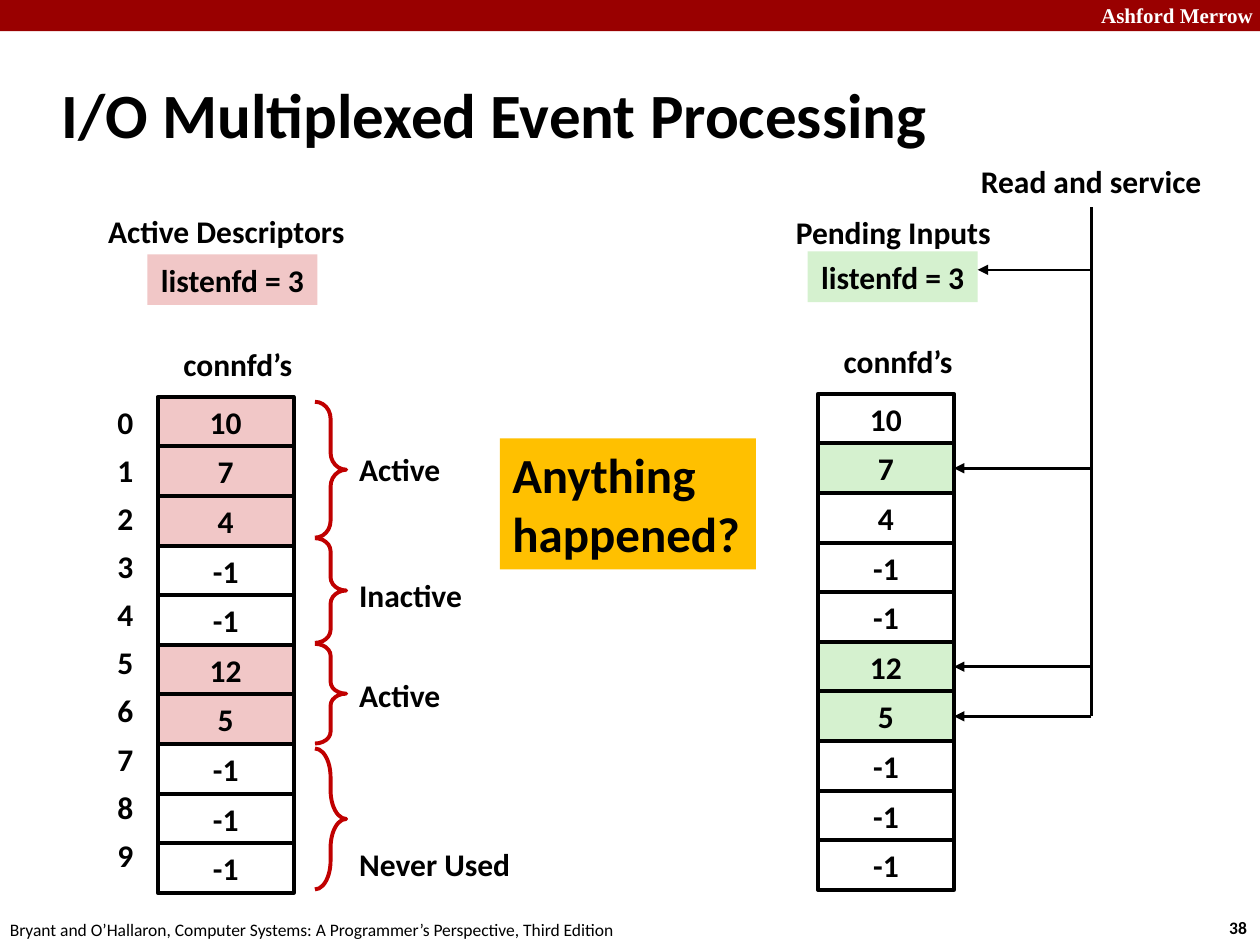
from lxml.etree import SubElement
from pptx import Presentation
from pptx.dml.color import RGBColor
from pptx.enum.shapes import MSO_CONNECTOR as Line, MSO_SHAPE as Shape
from pptx.enum.text import MSO_ANCHOR as Anchor, MSO_AUTO_SIZE as AutoSize, PP_ALIGN as Align
from pptx.oxml.ns import qn
from pptx.util import Cm, Pt

BLACK = RGBColor(0x00, 0x00, 0x00)
WHITE = RGBColor(0xFF, 0xFF, 0xFF)
BANNER_RED = RGBColor(0x99, 0x00, 0x00)
BRACE_RED = RGBColor(0xC0, 0x00, 0x00)
ACTIVE_PINK = RGBColor(0xF1, 0xC7, 0xC7)
PENDING_GREEN = RGBColor(0xD5, 0xF1, 0xCF)
QUESTION_GOLD = RGBColor(0xFF, 0xC0, 0x00)

SCHOOL = "Ashford Merrow"
SOURCE = "Bryant and O’Hallaron, Computer Systems: A Programmer’s Perspective, Third Edition"
PAGE = "38"
TITLE = "I/O Multiplexed Event Processing"
LISTEN = "listenfd = 3"
CONNECTED = "connfd’s"
QUESTION = ["Anything", "happened?"]
DESCRIPTORS = ["10", "7", "4", "-1", "-1", "12", "5", "-1", "-1", "-1"]
ACTIVE_ROWS = [0, 1, 2, 5, 6]
PENDING_ROWS = [1, 5, 6]
# label, label top, label width, brace top, brace height, brace curl
RANGES = [
    ("Active", 8.94, 2.16, 8.1, 2.74, 0.54),
    ("Inactive", 11.48, 2.62, 10.85, 2.11, 0.42),
    ("Active", 13.51, 2.16, 12.98, 2.01, 0.38),
    ("Never Used", 16.92, 3.61, 15.09, 2.84, 0.92),
]

ROW = 1.0
INDEX_STEP = 0.97
TRUNK_X, TRUNK_TOP, LISTEN_ARROW_Y = 22.0, 4.17, 5.44
PENDING_SHIFT = (13.31, -0.06)

deck = Presentation()
deck.slide_width, deck.slide_height = Cm(25.4), Cm(19.05)
slide = deck.slides.add_slide(deck.slide_layouts[6])


def write(holder, lines, size=18, bold=True, align=Align.LEFT, anchor=Anchor.TOP,
          wrap=False, font="Calibri", color=BLACK):
    frame = holder.text_frame
    frame.word_wrap = wrap
    frame.auto_size = AutoSize.NONE
    frame.vertical_anchor = anchor
    for number, line in enumerate(lines):
        paragraph = frame.add_paragraph() if number else frame.paragraphs[0]
        paragraph.alignment = align
        run = paragraph.add_run()
        run.text = line
        run.font.name, run.font.size, run.font.bold = font, Pt(size), bold
        run.font.color.rgb = color
    return holder


def label(text, left, top, width, height=1.02, **style):
    return write(slide.shapes.add_textbox(Cm(left), Cm(top), Cm(width), Cm(height)),
                 [text], **style)


def block(left, top, width, height, fill=None, line=None, kind=Shape.RECTANGLE):
    shape = slide.shapes.add_shape(kind, Cm(left), Cm(top), Cm(width), Cm(height))
    shape.shadow.inherit = False
    if fill is None:
        shape.fill.background()
    else:
        shape.fill.solid()
        shape.fill.fore_color.rgb = fill
    if line is None:
        shape.line.fill.background()
    else:
        shape.line.color.rgb = line
        shape.line.width = Pt(2.25)
    return shape


def connect(x1, y1, x2, y2, arrow=True):
    connector = slide.shapes.add_connector(Line.STRAIGHT, x1, y1, x2, y2)
    connector.line.color.rgb = BLACK
    connector.line.width = Pt(1.5)
    if arrow:
        SubElement(connector.line._get_or_add_ln(), qn("a:tailEnd"), type="triangle")
    SubElement(connector._element.spPr, qn("a:effectLst"))
    return connector


def descriptor_column(shift, marked_rows, mark):
    dx, dy = shift
    label(CONNECTED, 3.4 + dx, 6.84 + dy, 2.79, align=Align.CENTER)
    listen = block(2.97 + dx, 5.13 + dy, 3.43, 1.02, mark)
    write(listen, [LISTEN], align=Align.CENTER)
    cells = []
    for row, value in enumerate(DESCRIPTORS):
        fill = mark if row in marked_rows else WHITE
        cell = block(3.18 + dx, 8 + dy + row * ROW, 2.74, ROW, fill, BLACK)
        cells.append(write(cell, [value], align=Align.CENTER, anchor=Anchor.MIDDLE, wrap=True))
    return listen, cells


block(0, 0, 25.4, 0.63, BANNER_RED)
label(SCHOOL, 21.95, -0.08, 3.63, 0.77, size=12, wrap=True, font="Times New Roman", color=WHITE)
label(PAGE, 24.53, 18.36, 0.94, 0.69, size=10)
label(SOURCE, -0.05, 18.41, 12.9, 0.69, size=10, bold=False)
label(TITLE, 1.0, 1.24, 21.08, 2.11, size=36, anchor=Anchor.MIDDLE, wrap=True)

label("Active Descriptors", 1.91, 4.14, 5.31, align=Align.CENTER)
descriptor_column((0, 0), ACTIVE_ROWS, ACTIVE_PINK)
for index in range(len(DESCRIPTORS)):
    label(str(index), 0.2, 7.99 + index * INDEX_STEP, 2.74,
          align=Align.RIGHT, anchor=Anchor.MIDDLE, wrap=True)
for text, text_top, text_width, brace_top, brace_height, curl in RANGES:
    brace = block(6.35, brace_top, 0.63, brace_height, line=BRACE_RED, kind=Shape.RIGHT_BRACE)
    brace.adjustments[0] = curl
    label(text, 6.99, text_top, text_width)

label("Pending Inputs", 15.24, 4.17, 5.54, align=Align.CENTER, wrap=True)
pending_listen, pending_cells = descriptor_column(PENDING_SHIFT, PENDING_ROWS, PENDING_GREEN)
label("Read and service", 19.23, 3.15, 5.54, align=Align.CENTER, wrap=True)
connect(Cm(TRUNK_X), Cm(LISTEN_ARROW_Y),
        pending_listen.left + pending_listen.width, Cm(LISTEN_ARROW_Y))
for row in PENDING_ROWS:
    cell = pending_cells[row]
    middle = cell.top + cell.height // 2
    connect(Cm(TRUNK_X), middle, cell.left + cell.width, middle).end_connect(cell, 3)
connect(Cm(TRUNK_X), middle, Cm(TRUNK_X), Cm(TRUNK_TOP), arrow=False)

write(block(10.08, 8.84, 5.16, 2.64, QUESTION_GOLD), QUESTION, size=28)

deck.save("out.pptx")
